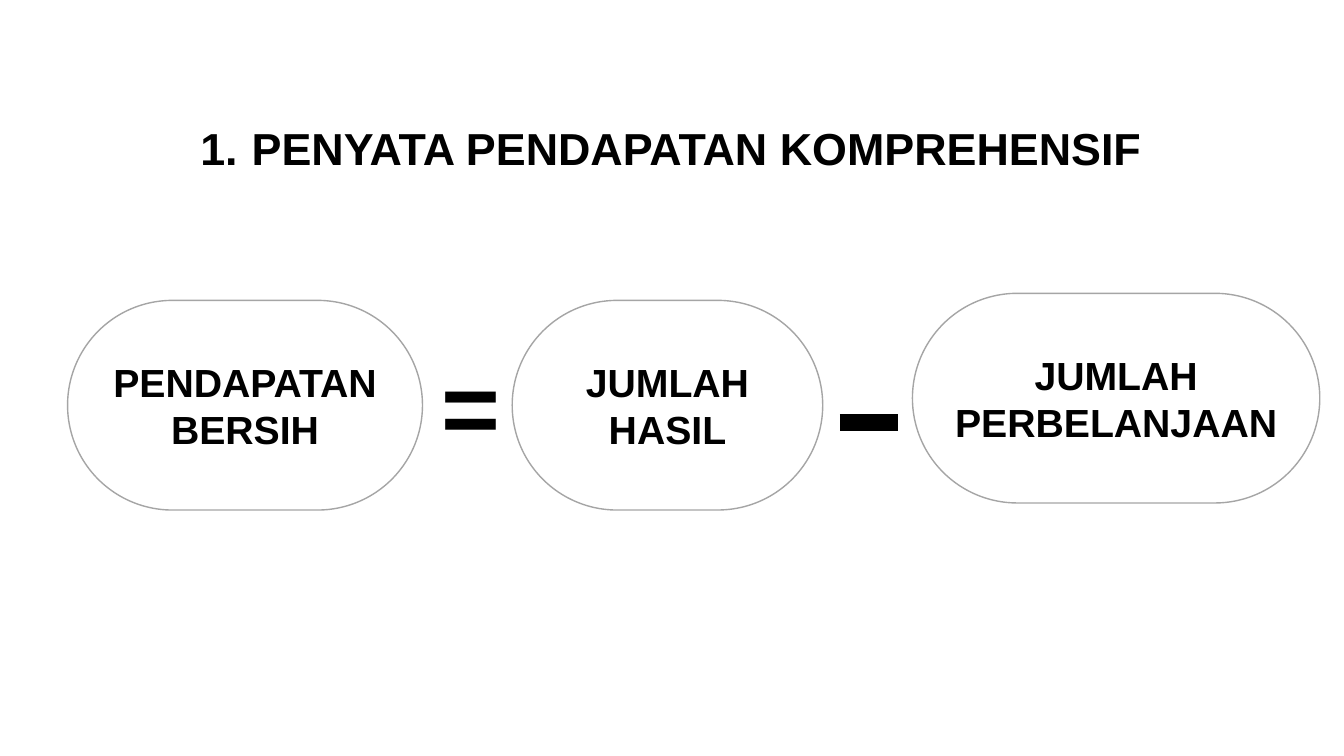
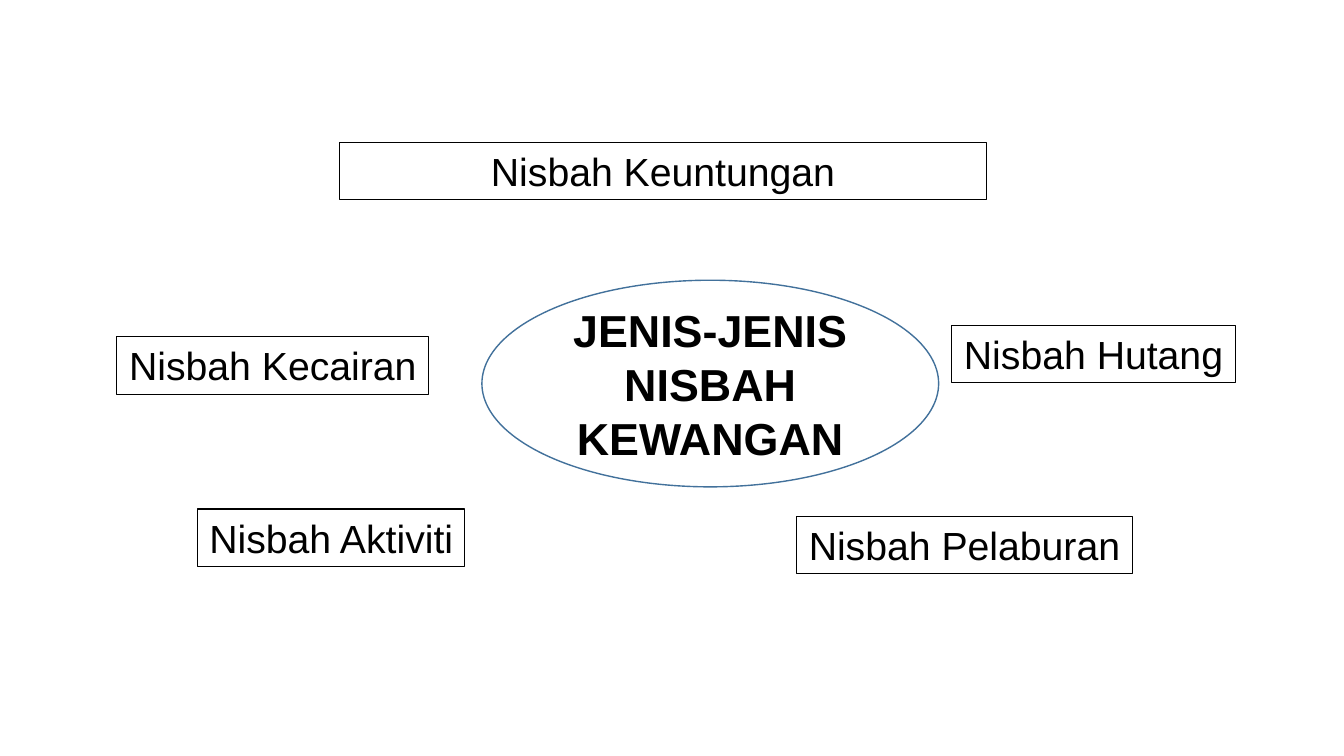
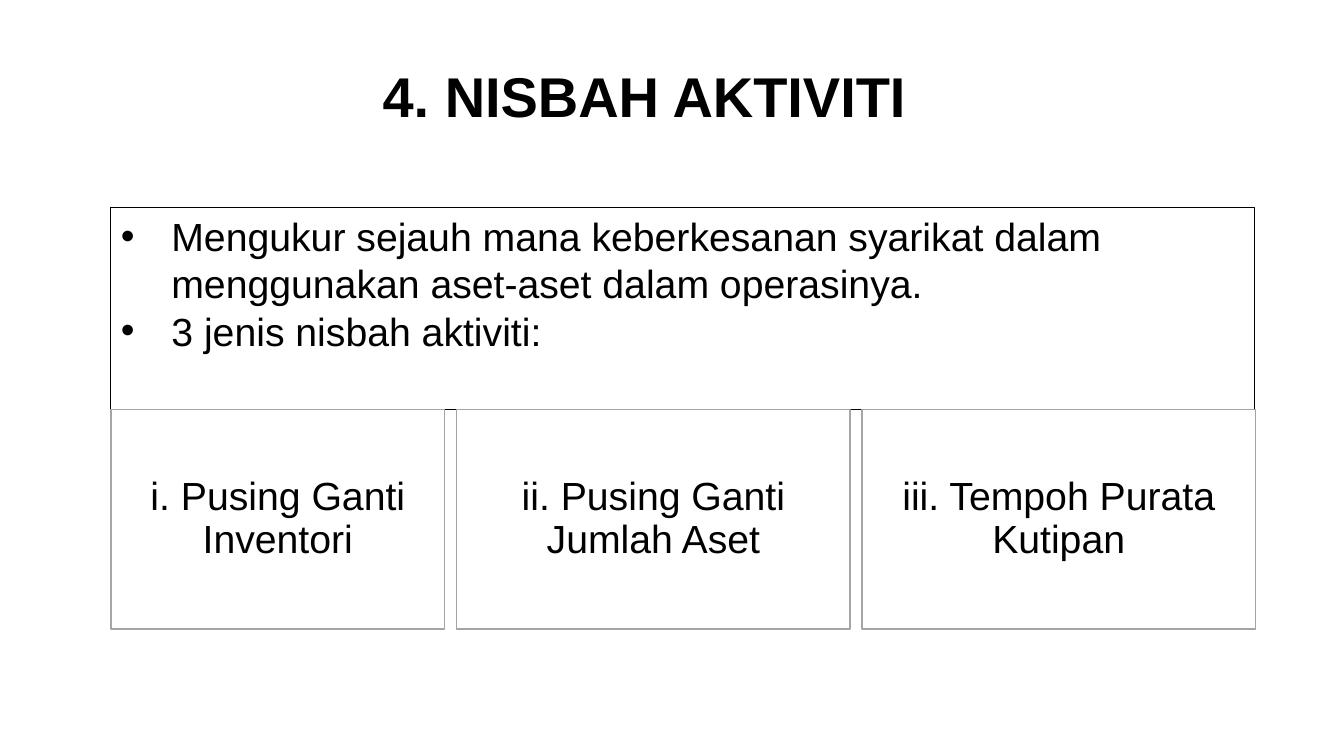
from dataclasses import dataclass
from typing import Any

from lxml import etree
from pptx import Presentation
from pptx.dml.color import RGBColor
from pptx.enum.shapes import MSO_CONNECTOR, MSO_SHAPE
from pptx.enum.text import MSO_ANCHOR, MSO_AUTO_SIZE, PP_ALIGN
from pptx.oxml.ns import qn
from pptx.util import Pt

PX = 9144
LEFT, MID = PP_ALIGN.LEFT, PP_ALIGN.CENTER
TOP, CORE = MSO_ANCHOR.TOP, MSO_ANCHOR.MIDDLE
RECT, PILL, OVAL = MSO_SHAPE.RECTANGLE, MSO_SHAPE.ROUNDED_RECTANGLE, MSO_SHAPE.OVAL
LINE = MSO_CONNECTOR.STRAIGHT
FIXED = MSO_AUTO_SIZE.NONE
FONT = "Arial"
HUES = {"ink": "000000", "paper": "FFFFFF", "grey": "A5A5A5", "blue": "42719B"}
Spot = tuple[int, int, int, int]


@dataclass(frozen=True)
class Style:
    size: int = 28
    bold: bool = False
    align: Any = MID
    anchor: Any = CORE
    pad: tuple[int, int] = (10, 5)
    lead: float = 1.0
    hang: int = 0
    dot: bool = False
    wrap: bool = True
    fill: str = ""
    edge: str = ""
    width: float = 1


@dataclass(frozen=True)
class Box:
    at: Spot
    lines: tuple[str, ...]


HEAD = Style(size=32, bold=True, anchor=TOP, hang=51)
TITLE = Style(size=40, bold=True, anchor=TOP)
TERM = Style(bold=True, fill="paper", edge="grey")
SIGN = Style(size=72, bold=True, align=LEFT, anchor=TOP)
HUB = Style(size=32, bold=True, fill="paper", edge="blue")
TAG = Style(anchor=TOP, wrap=False, edge="ink", width=0.75)
LIST = Style(align=LEFT, anchor=TOP, hang=50, dot=True, edge="ink", width=0.75)
CARD = Style(pad=(15, 15), lead=0.9, fill="paper", edge="grey")

TERMS = [
    Box((67, 298, 352, 208), ("PENDAPATAN", "BERSIH")),
    Box((508, 298, 308, 208), ("JUMLAH", "HASIL")),
    Box((905, 291, 404, 208), ("JUMLAH", "PERBELANJAAN")),
]
TAGS = [
    Box((116, 334, 309, 57), ("Nisbah Kecairan",)),
    Box((337, 141, 641, 57), ("Nisbah Keuntungan",)),
    Box((944, 323, 281, 57), ("Nisbah Hutang",)),
    Box((196, 505, 265, 57), ("Nisbah Aktiviti",)),
    Box((790, 512, 333, 57), ("Nisbah Pelaburan",)),
]
CARDS = [
    (331, "i. Pusing Ganti Inventori"),
    (390, "ii. Pusing Ganti Jumlah Aset"),
    (390, "iii. Tempoh Purata Kutipan"),
]
GAP = 12


def hue(name: str) -> RGBColor:
    return RGBColor.from_string(HUES[name])


def put(item: Any, vals: dict[str, Any]) -> None:
    for key, val in vals.items():
        setattr(item, key, val)


def indent(para: Any, style: Style) -> None:
    props = para._p.get_or_add_pPr()
    props.set("marL", str(style.hang * PX))
    props.set("indent", str(-style.hang * PX))
    if style.dot:
        tone = etree.SubElement(props, qn("a:buClr"))
        etree.SubElement(tone, qn("a:srgbClr"), val=HUES["ink"])
        etree.SubElement(props, qn("a:buFont"), typeface=FONT)
        etree.SubElement(props, qn("a:buChar"), char="•")


def write(shape: Any, lines: tuple[str, ...], style: Style) -> None:
    side, edge = (n * PX for n in style.pad)
    frame = shape.text_frame
    put(frame, {
        "word_wrap": style.wrap, "auto_size": FIXED,
        "vertical_anchor": style.anchor,
        "margin_left": side, "margin_right": side,
        "margin_top": edge, "margin_bottom": edge,
    })
    for i, line in enumerate(lines):
        para = frame.add_paragraph() if i else frame.paragraphs[0]
        if style.hang:
            indent(para, style)
        put(para, {"alignment": style.align, "line_spacing": style.lead,
                   "space_before": Pt(0), "space_after": Pt(0)})
        run = para.add_run()
        run.text = line
        put(run.font, {"name": FONT, "size": Pt(style.size), "bold": style.bold})
        run.font.color.rgb = hue("ink")


def dress(shape: Any, box: Box, style: Style) -> None:
    spot = (n * PX for n in box.at)
    put(shape, dict(zip(("left", "top", "width", "height"), spot)))
    if style.fill:
        shape.fill.solid()
        shape.fill.fore_color.rgb = hue(style.fill)
    else:
        shape.fill.background()
    if style.edge:
        shape.line.color.rgb = hue(style.edge)
        shape.line.width = Pt(style.width)
    write(shape, box.lines, style)


def draw(slide: Any, kind: Any, box: Box, style: Style) -> None:
    shape = slide.shapes.add_shape(kind, 0, 0, PX, PX)
    shape.shadow.inherit = False
    if kind == PILL:
        shape.adjustments[0] = 0.5
    dress(shape, box, style)


def income(deck: Any) -> None:
    slide = deck.slides.add_slide(deck.slide_layouts[5])
    head = Box((143, 115, 1045, 71), ("1. \tPENYATA PENDAPATAN KOMPREHENSIF",))
    dress(slide.shapes.title, head, HEAD)
    for term in TERMS:
        draw(slide, PILL, term, TERM)
    sign = slide.shapes.add_textbox(0, 0, PX, PX)
    dress(sign, Box((428, 336, 83, 131), ("=",)), SIGN)
    minus = slide.shapes.add_connector(LINE, 833 * PX, 419 * PX, 891 * PX, 419 * PX)
    minus.line.color.rgb = hue("ink")
    minus.line.width = Pt(12)
    etree.SubElement(minus._element.spPr, qn("a:effectLst"))


def ratios(deck: Any) -> None:
    slide = deck.slides.add_slide(deck.slide_layouts[6])
    hub = Box((478, 278, 453, 205), ("JENIS-JENIS NISBAH KEWANGAN",))
    draw(slide, OVAL, hub, HUB)
    for tag in TAGS:
        draw(slide, RECT, tag, TAG)


def active(deck: Any) -> None:
    slide = deck.slides.add_slide(deck.slide_layouts[1])
    dress(slide.shapes.title, Box((260, 56, 758, 84), ("4. NISBAH AKTIVITI",)), TITLE)
    facts = Box((110, 206, 1134, 200), (
        "Mengukur sejauh mana keberkesanan syarikat dalam menggunakan "
        "aset-aset dalam operasinya.",
        "3 jenis nisbah aktiviti:",
    ))
    dress(slide.placeholders[1], facts, LIST)
    left = 110
    for wide, text in CARDS:
        draw(slide, RECT, Box((left, 406, wide, 218), (text,)), CARD)
        left += wide + GAP


def main() -> None:
    deck = Presentation()
    put(deck, {"slide_width": 1333 * PX, "slide_height": 750 * PX})
    for build in (income, ratios, active):
        build(deck)
    deck.save("out.pptx")


if __name__ == "__main__":
    main()
